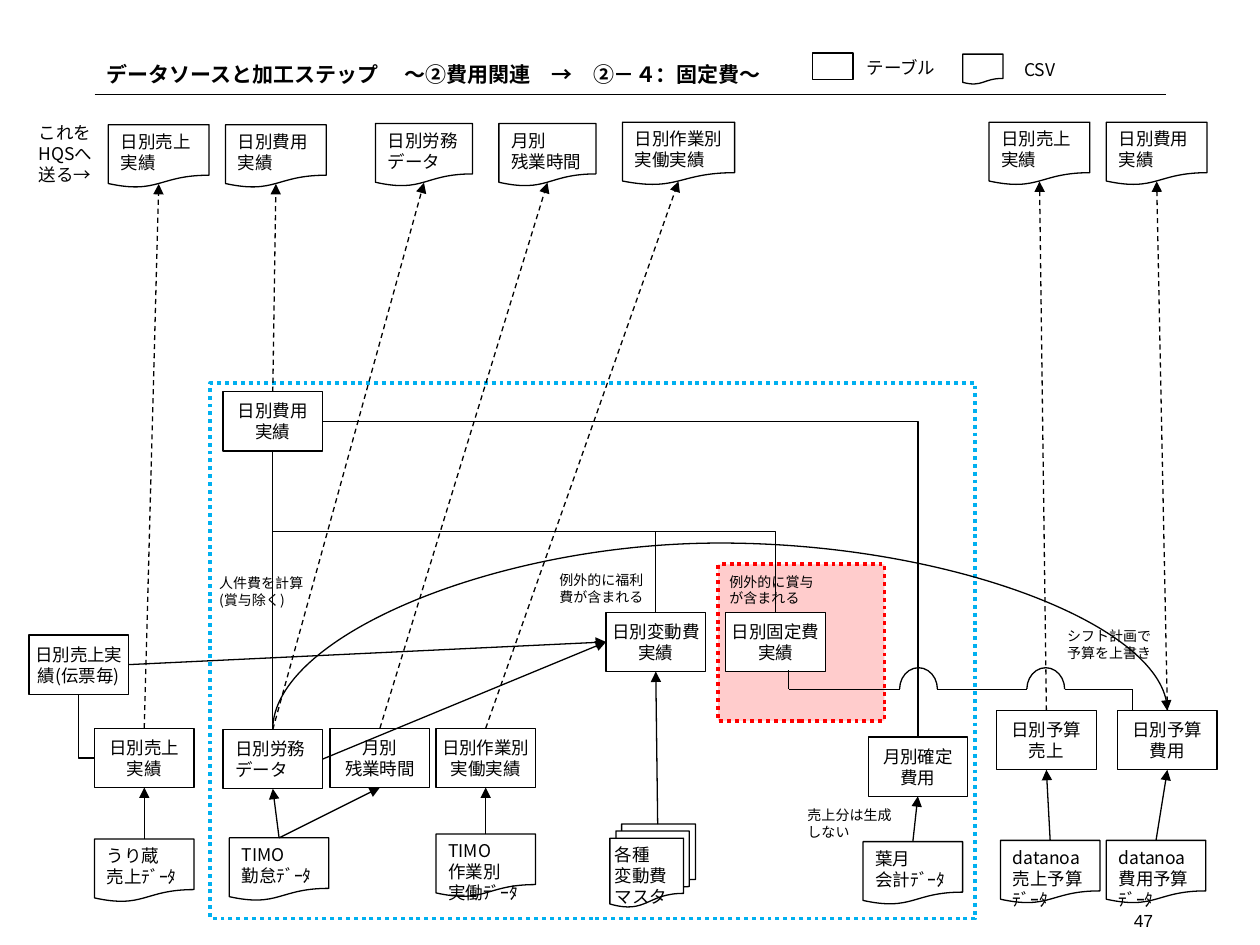
from lxml.etree import SubElement
from pptx import Presentation
from pptx.dml.color import RGBColor
from pptx.enum.dml import MSO_LINE
from pptx.enum.shapes import MSO_CONNECTOR, MSO_SHAPE
from pptx.enum.text import MSO_ANCHOR, PP_ALIGN
from pptx.oxml.ns import qn
from pptx.util import Inches, Pt

BLACK = RGBColor(0, 0, 0)
WHITE = RGBColor(255, 255, 255)
RED = RGBColor(255, 0, 0)
PINK = RGBColor(255, 204, 204)
BLUE = RGBColor(0, 176, 240)
FONT = "Noto Sans CJK JP"
CELL = 0.1
SIDES = [(0.5, 0), (0, 0.5), (0.5, 1), (1, 0.5)]
TABLE = MSO_SHAPE.RECTANGLE
PAPER = MSO_SHAPE.FLOWCHART_DOCUMENT
STACK = MSO_SHAPE.FLOWCHART_MULTIDOCUMENT


def grid(*cells):
    return [Inches(cell * CELL) for cell in cells]


def write(frame, text, size=10, align=PP_ALIGN.LEFT, bold=False, font=FONT):
    frame.word_wrap = True
    frame.text = text
    for para in frame.paragraphs:
        para.alignment = align
        for run in para.runs:
            run.font.size = Pt(size)
            run.font.bold = bold
            run.font.name = font
            run.font.color.rgb = BLACK
            SubElement(run._r.get_or_add_rPr(), qn("a:ea"), typeface=font)


def label(slide, box, text, **style):
    frame = slide.shapes.add_textbox(*grid(*box)).text_frame
    write(frame, text, **style)
    return frame


def block(slide, kind, box, fill=WHITE, edge=BLACK, width=0.75):
    shape = slide.shapes.add_shape(kind, *grid(*box))
    shape.shadow.inherit = False
    if fill is None:
        shape.fill.background()
    else:
        shape.fill.solid()
        shape.fill.fore_color.rgb = fill
    shape.line.color.rgb = edge
    shape.line.width = Pt(width)
    return shape


def node(slide, kind, box, text, align=PP_ALIGN.LEFT, pad=1):
    shape = block(slide, kind, box)
    frame = shape.text_frame
    frame.margin_left = frame.margin_right = Inches(pad * CELL)
    frame.vertical_anchor = MSO_ANCHOR.MIDDLE if kind == TABLE else MSO_ANCHOR.TOP
    write(frame, text, align=align)
    return shape


def spot(shape, side):
    across, down = SIDES[side]
    if side == 2 and shape.auto_shape_type == PAPER:
        down = 0.94
    return (int(shape.left + across * shape.width),
            int(shape.top + down * shape.height))


def line(slide, start, end, kind=MSO_CONNECTOR.STRAIGHT, dash=False, arrow=False):
    link = slide.shapes.add_connector(kind, *start, *end)
    link.line.color.rgb = BLACK
    link.line.width = Pt(0.75)
    if dash:
        link.line.dash_style = MSO_LINE.DASH
    if arrow:
        SubElement(link.line._get_or_add_ln(), qn("a:tailEnd"), type="triangle")
    SubElement(link._element.spPr, qn("a:effectLst"))
    return link


def join(slide, tail, tip, dash=False, arrow=True):
    link = line(slide, spot(*tail), spot(*tip), dash=dash, arrow=arrow)
    if tail[0].auto_shape_type == TABLE:
        link.begin_connect(*tail)
    if tip[0].auto_shape_type == TABLE:
        link.end_connect(*tip)


def bend(slide, tail, tip, form, turn=True, ratio=None, arrow=False):
    start, end = spot(*tail), spot(*tip)
    wide, tall = end[0] - start[0], end[1] - start[1]
    if turn:
        mid = (start[0] + end[0]) // 2, (start[1] + end[1]) // 2
        left, top = mid[0] - abs(tall) // 2, mid[1] - wide // 2
        start, end = (left, top), (left + abs(tall), top + wide)
    link = line(slide, start, end, MSO_CONNECTOR.ELBOW, arrow=arrow)
    props = link._element.spPr
    if turn:
        frame = props.find(qn("a:xfrm"))
        frame.set("rot", str(270 * 60000))
        if tall > 0:
            frame.set("flipH", "1")
    shape = props.find(qn("a:prstGeom"))
    shape.set("prst", form)
    if ratio:
        SubElement(shape.find(qn("a:avLst")), qn("a:gd"),
                   name="adj1", fmla=f"val {int(ratio * 100000)}")


def head(slide, box):
    x, y, w, h = box
    line(slide, grid(x, y + h), grid(x + w, y + h))
    title = label(slide, (x, y + 0.4, 56.7, 2.9),
                  "データソースと加工ステップ\u3000 ～②費用関連\u3000→\u3000②－４：固定費～".replace("\u3000", "　"),
                  size=12, bold=True)
    title.vertical_anchor = MSO_ANCHOR.MIDDLE
    block(slide, TABLE, (x + 57, y + 0.2, 3.2, 2.1))
    label(slide, (x + 60.3, y, 8, 2.7), "テーブル")
    block(slide, PAPER, (x + 68.9, y + 0.3, 3.2, 2.4))
    label(slide, (x + 72.8, y + 0.2, 8, 2.7), "CSV")


def zone(slide, box, edge, fill=None):
    shape = block(slide, TABLE, box, fill, edge, 2.25)
    shape.line.dash_style = MSO_LINE.ROUND_DOT


def outs(slide, box):
    x, y, w, h = box
    label(slide, (x, y - 0.5, 7.2, 6.1), "これをHQSへ送る→")
    parts = [
        ("sales", 6.5, 0.2, 8, "日別売上\n実績"),
        ("cost", 15.8, 0.2, 8, "日別費用\n実績"),
        ("labor", 27.7, 0.1, 7.7, "日別労務\nデータ"),
        ("over", 37.5, 0.1, 7.7, "月別\n残業時間"),
        ("work", 47.3, 0, 8.9, "日別作業別\n実働実績"),
        ("plan", 76.4, 0, 8, "日別売上\n実績"),
        ("spend", 85.7, 0, 8, "日別費用\n実績"),
    ]
    return {key: node(slide, PAPER, (x + col, y + row, wide, h), text)
            for key, col, row, wide, text in parts}


def tables(slide, box):
    x, y, w, h = box
    parts = [
        ("cost", 15.4, 0, "日別費用\n実績"),
        ("slip", 0, 19.3, "日別売上実績(伝票毎)"),
        ("vary", 45.8, 17.5, "日別変動費実績"),
        ("fixed", 55.3, 17.5, "日別固定費\n実績"),
        ("sales", 5.2, 26.7, "日別売上\n実績"),
        ("labor", 15.4, 26.8, "日別労務\nデータ"),
        ("over", 23.9, 26.7, "月別\n残業時間"),
        ("work", 32.3, 26.7, "日別作業別\n実働実績"),
        ("final", 66.6, 27.4, "月別確定\n費用"),
        ("plan", 76.8, 25.3, "日別予算\n売上"),
        ("spend", 86.4, 25.3, "日別予算\n費用"),
    ]
    found = {}
    for key, col, row, text in parts:
        style = (PP_ALIGN.LEFT, 1) if key == "labor" else (PP_ALIGN.CENTER, 0.4)
        found[key] = node(slide, TABLE, (x + col, y + row, 7.9, 4.7), text, *style)
    return found


def feeds(slide, box):
    x, y, w, h = box
    parts = [
        ("sales", 0, 1.2, "うり蔵\n売上ﾃﾞｰﾀ"),
        ("time", 10.7, 1.1, "TIMO\n勤怠ﾃﾞｰﾀ"),
        ("work", 27.1, 0.8, "TIMO\n作業別\n実働ﾃﾞｰﾀ"),
        ("final", 61, 1.4, "葉月\n会計ﾃﾞｰﾀ"),
        ("plan", 71.9, 1.3, "datanoa\n売上予算ﾃﾞｰﾀ"),
        ("spend", 80.3, 1.3, "datanoa\n費用予算ﾃﾞｰﾀ"),
    ]
    found = {key: node(slide, PAPER, (x + col, y + row, 7.9, 5), text)
             for key, col, row, text in parts}
    found["vary"] = node(slide, STACK, (x + 40.9, y, 6.8, 6.6),
                         "各種\n変動費\nマスタ", pad=0.4)
    return found


def notes(slide, box):
    x, y, w, h = box
    parts = [
        (0, 0.2, 9.2, "人件費を計算(賞与除く)"),
        (27, 0, 8.9, "例外的に福利費が含まれる"),
        (40.5, 0.1, 8.9, "例外的に賞与が含まれる"),
        (46.7, 18.6, 8.8, "売上分は生成しない"),
        (67.3, 4.4, 8.9, "シフト計画で予算を上書き"),
    ]
    for col, row, wide, text in parts:
        label(slide, (x + col, y + row, wide, 3.7), text, size=8)


def hops(slide, box):
    x, y, w, h = box
    base = y + 1.5
    turns = [x + 8.8, x + 18.9]
    for left in turns:
        arc = block(slide, MSO_SHAPE.ARC, (left, y - 0.2, 3, 3.4), None)
        arc.adjustments[0] = 108.55
        arc.adjustments[1] = 0
    edges = [x, turns[0], turns[0] + 3, turns[1], turns[1] + 3, x + w]
    for start, end in zip(edges[::2], edges[1::2]):
        line(slide, grid(start, base), grid(end, base))
    line(slide, grid(x, y), grid(x, base))
    line(slide, grid(x + w, base), grid(x + w, y + h))


def flows(slide, feed, data, sent):
    for key in ("sales", "work", "final", "plan", "spend"):
        join(slide, (feed[key], 0), (data[key], 2))
    for key in ("labor", "over"):
        join(slide, (feed["time"], 0), (data[key], 2))
    foot = spot(data["vary"], 2)
    link = line(slide, grid(52.2, 65.4), foot, arrow=True)
    link.end_connect(data["vary"], 2)
    for key, paper in sent.items():
        join(slide, (data[key], 0), (paper, 2), dash=True)
    for key in ("labor", "slip"):
        join(slide, (data[key], 3), (data["vary"], 1))
    join(slide, (data["cost"], 2), (data["labor"], 0), arrow=False)
    for key in ("vary", "fixed"):
        bend(slide, (data["cost"], 2), (data[key], 0), "bentConnector3")
    bend(slide, (data["cost"], 3), (data["final"], 0), "bentConnector2", turn=False)
    bend(slide, (data["slip"], 2), (data["sales"], 1), "bentConnector2")
    bend(slide, (data["labor"], 0), (data["spend"], 0), "curvedConnector3",
         ratio=9.87, arrow=True)


def main():
    deck = Presentation()
    deck.slide_width, deck.slide_height = grid(100, 75)
    slide = deck.slides.add_slide(deck.slide_layouts[6])
    head(slide, (7.5, 4, 85, 3.5))
    zone(slide, (57, 44.8, 13.2, 12.4), RED, PINK)
    zone(slide, (16.7, 30.4, 60.7, 42.5), BLUE)
    sent = outs(slide, (2.1, 9.7, 93.7, 5))
    data = tables(slide, (2.3, 31.1, 94.3, 32.1))
    feed = feeds(slide, (7.5, 65.4, 88.2, 6.6))
    flows(slide, feed, data, sent)
    hops(slide, (62.6, 53.2, 27.3, 3.2))
    notes(slide, (16.4, 44.9, 76.2, 22.3))
    label(slide, (71.7, 71.7, 20.8, 2.5), "47", align=PP_ALIGN.RIGHT, font="Arial")
    deck.save("out.pptx")


if __name__ == "__main__":
    main()
